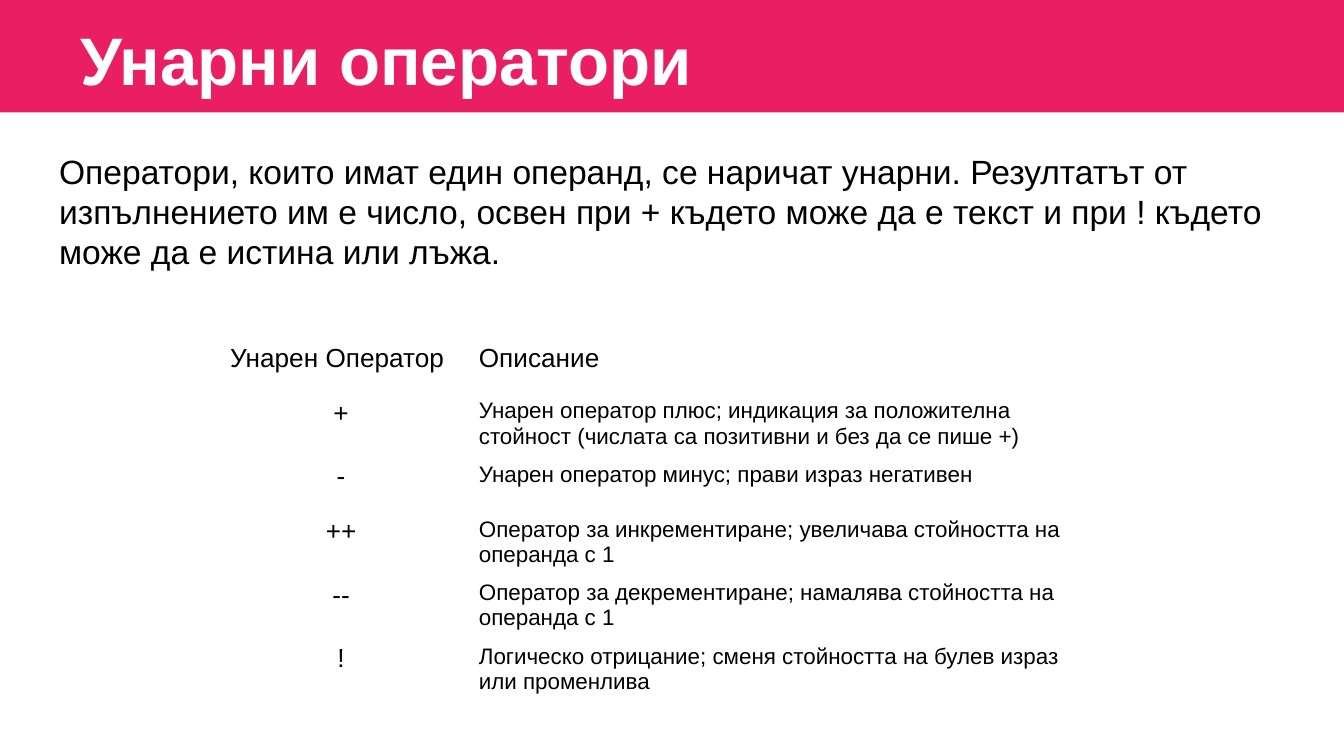
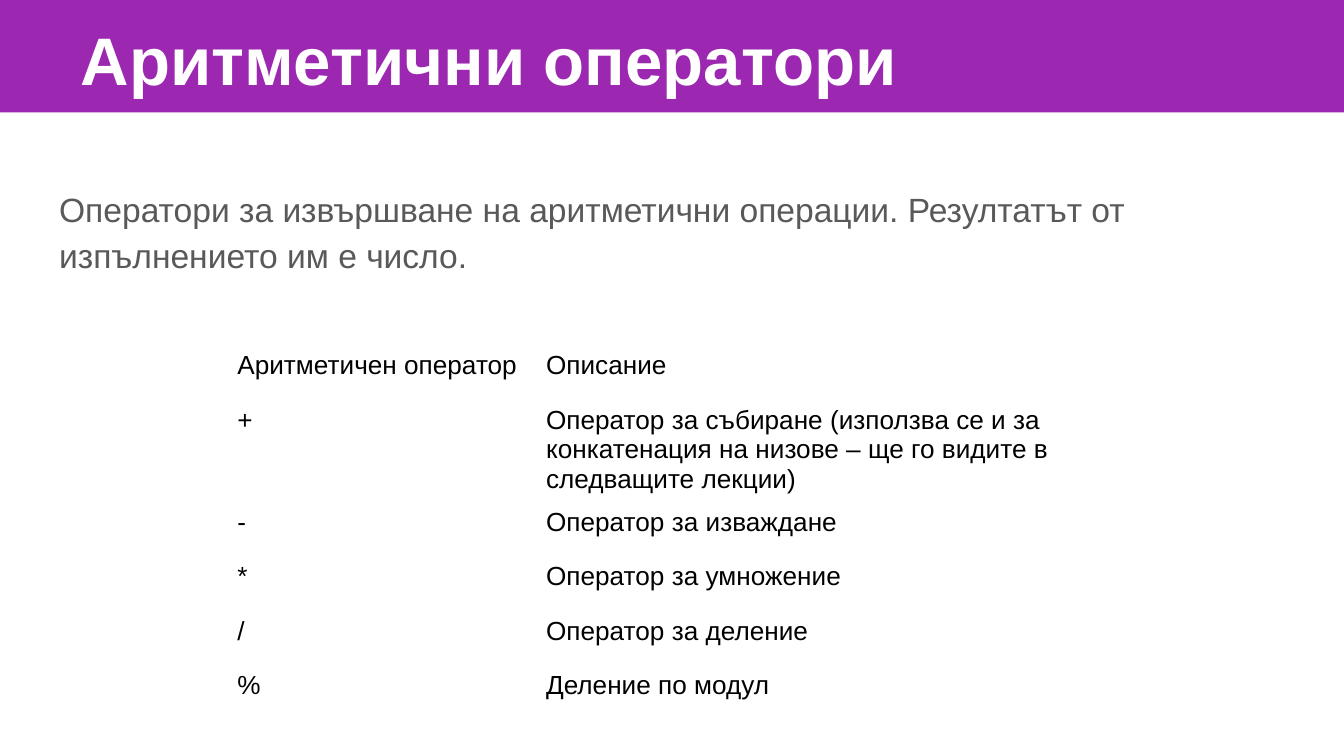
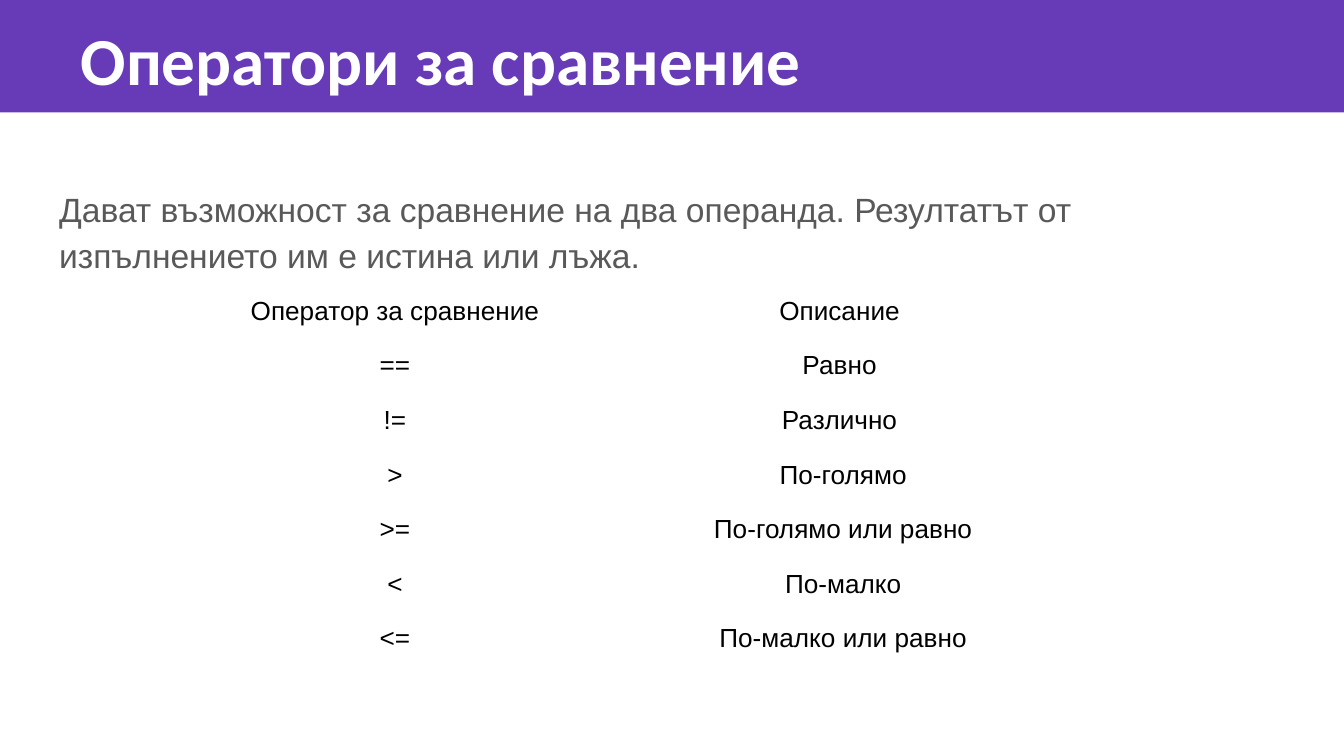
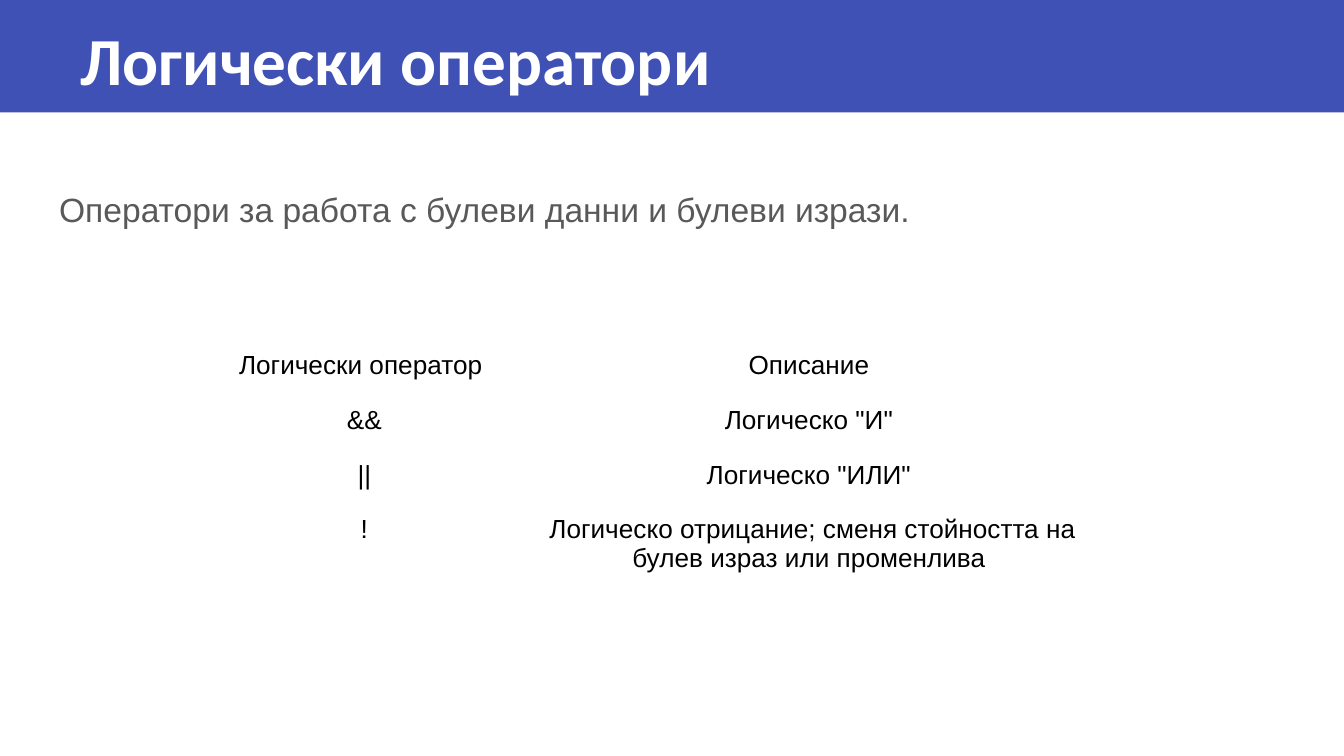
"""Build four slides about operators, each with a band, an introduction and a table."""

from dataclasses import dataclass

from lxml.etree import SubElement
from pptx import Presentation
from pptx.dml.color import RGBColor
from pptx.enum.shapes import MSO_SHAPE as Shape
from pptx.enum.text import MSO_ANCHOR as Anchor, MSO_AUTO_SIZE as AutoSize, PP_ALIGN as Align
from pptx.oxml.ns import qn
from pptx.slide import Slide
from pptx.text.text import TextFrame
from pptx.util import Inches, Pt


@dataclass(frozen=True)
class Theme:
    """Colours, fonts and type sizes of the deck."""

    ink: str = "000000"
    muted: str = "595959"
    on_band: str = "FFFFFF"
    font: str = "Arial"
    title_size: int = 36
    intro_size: int = 18
    cell_size: int = 14
    small_size: int = 12
    plain_table: str = "{2D5ABB26-0587-4C30-8999-92F81FD0307C}"


@dataclass(frozen=True)
class Box:
    """An area in grid columns and rows."""

    left: float
    top: float
    width: float
    height: float


@dataclass(frozen=True)
class Intro:
    """The paragraph below the band and its setting."""

    text: str
    area: Box
    color: str
    spacing: float = 1.15
    inset: float = 1


@dataclass(frozen=True)
class OperatorTable:
    """Operators with their descriptions; the first row is the header."""

    left: float
    top: float
    widths: tuple[float, float]
    rows: tuple[tuple[str, str], ...]
    header_align: Align = Align.CENTER
    operator_align: Align = Align.CENTER
    description_align: Align = Align.CENTER
    description_size: int = 14


@dataclass(frozen=True)
class Topic:
    """The content of one slide."""

    title: str
    band_color: str
    title_width: float
    intro: Intro
    table: OperatorTable
    title_font: str = "Arial"


THEME = Theme()
COLUMNS, ROWS = 100, 56.25
CELL = Inches(0.1)
BAND = Box(0, 0, COLUMNS, 8.36)
TABLE_ROW = 4.06
INTRO_AREA = Box(3.4, 12.6, 93.2, 37.4)

TOPICS = (
    Topic(
        "Унарни оператори", "E91E63", 98.9,
        Intro(
            "Оператори, които имат един операнд, се наричат унарни. Резултатът от "
            "изпълнението им е число, освен при + където може да е текст и при ! "
            "където може да е истина или лъжа.",
            Box(3.4, 10.7, 92.6, 10.1), THEME.ink, spacing=1, inset=0.5,
        ),
        OperatorTable(
            16.13, 25.1, (18.5, 48.2),
            (
                ("Унарен Оператор", "Описание"),
                ("+", "Унарен оператор плюс; индикация за положителна стойност "
                      "(числата са позитивни и без да се пише +)"),
                ("-", "Унарен оператор минус; прави израз негативен"),
                ("++", "Оператор за инкрементиране; увеличава стойността на операнда с 1"),
                ("--", "Оператор за декрементиране; намалява стойността на операнда с 1"),
                ("!", "Логическо отрицание; сменя стойността на булев израз или променлива"),
            ),
            header_align=Align.LEFT, description_align=Align.LEFT,
            description_size=THEME.small_size,
        ),
    ),
    Topic(
        "Аритметични оператори", "9C27B0", 74.4,
        Intro(
            "Оператори за извършване на аритметични операции. Резултатът от "
            "изпълнението им е число.",
            INTRO_AREA, THEME.muted,
        ),
        OperatorTable(
            16.66, 25.63, (22.97, 43.7),
            (
                ("Аритметичен оператор", "Описание"),
                ("+", "Оператор за събиране (използва се и за конкатенация на низове "
                      "– ще го видите в следващите лекции)"),
                ("-", "Оператор за изваждане"),
                ("*", "Оператор за умножение"),
                ("/", "Оператор за деление"),
                ("%", "Деление по модул"),
            ),
            Align.LEFT, Align.LEFT, Align.LEFT,
        ),
    ),
    Topic(
        "Оператори за сравнение", "673AB7", 74.4,
        Intro(
            "Дават възможност за сравнение на два операнда. Резултатът от "
            "изпълнението им е истина или лъжа.",
            INTRO_AREA, THEME.muted,
        ),
        OperatorTable(
            17.34, 21.57, (24.1, 42.6),
            (
                ("Оператор за сравнение", "Описание "),
                ("==", "Равно "),
                ("!=", "Различно "),
                (">", "По-голямо"),
                (">=", "По-голямо или равно"),
                ("<", "По-малко"),
                ("<=", "По-малко или равно"),
            ),
        ),
        title_font="Calibri",
    ),
    Topic(
        "Логически оператори", "3F51B5", 100,
        Intro(
            "Оператори за работа с булеви данни и булеви изрази.",
            Box(3.4, 12.6, 93.2, 42.2), THEME.muted,
        ),
        OperatorTable(
            16.66, 25.63, (20.9, 45.8),
            (
                ("Логически оператор ", "Описание "),
                ("&&", 'Логическо "И" '),
                ("||", 'Логическо "ИЛИ" '),
                ("!", "Логическо отрицание; сменя стойността на булев израз или променлива "),
            ),
        ),
        title_font="Calibri",
    ),
)


def span(cells: float) -> int:
    """Turn a number of grid cells into a length."""
    return round(cells * CELL)


def place(shape, area: Box) -> None:
    """Move a shape to an area of the grid."""
    shape.left, shape.top = span(area.left), span(area.top)
    shape.width, shape.height = span(area.width), span(area.height)


def write(frame: TextFrame, text: str, *, size: int, color: str = THEME.ink,
          font: str = THEME.font, bold: bool = False, align: Align = Align.LEFT,
          spacing: float = 1, indent: float = 0) -> None:
    """Put one formatted paragraph without a bullet into a text frame."""
    frame.text = text
    paragraph = frame.paragraphs[0]
    properties = paragraph._p.get_or_add_pPr()
    properties.set("marL", str(span(indent)))
    properties.set("indent", "0")
    SubElement(properties, qn("a:buNone"))
    paragraph.alignment = align
    paragraph.line_spacing = spacing
    paragraph.space_before = Pt(0)
    style = paragraph.runs[0].font
    style.name, style.size, style.bold = font, Pt(size), bold
    style.color.rgb = RGBColor.from_string(color)


def set_up_frame(frame: TextFrame, inset: float) -> None:
    """Give a placeholder's text frame its wrapping, anchor and margins."""
    frame.word_wrap = True
    frame.auto_size = AutoSize.NONE
    frame.vertical_anchor = Anchor.TOP
    frame.margin_left = frame.margin_right = span(1)
    frame.margin_top = frame.margin_bottom = span(inset)


def add_band(slide: Slide, color: str) -> None:
    """Draw the title band behind everything else."""
    band = slide.shapes.add_shape(Shape.RECTANGLE, 0, 0, span(BAND.width), span(BAND.height))
    band.shadow.inherit = False
    band.fill.solid()
    band.fill.fore_color.rgb = RGBColor.from_string(color)
    band.line.fill.background()
    slide.shapes.element.insert(2, band.element)


def add_title(slide: Slide, topic: Topic) -> None:
    """Set the slide title on the band."""
    title = slide.shapes.title
    place(title, Box(0, 0.34, topic.title_width, 7.7))
    set_up_frame(title.text_frame, 1)
    write(title.text_frame, topic.title, size=THEME.title_size, color=THEME.on_band,
          font=topic.title_font, bold=True, indent=5)


def add_intro(slide: Slide, intro: Intro) -> None:
    """Set the introduction in the body placeholder."""
    body = slide.placeholders[1]
    place(body, intro.area)
    set_up_frame(body.text_frame, intro.inset)
    write(body.text_frame, intro.text, size=THEME.intro_size, color=intro.color,
          spacing=intro.spacing)


def add_operator_table(slide: Slide, content: OperatorTable) -> None:
    """Draw a plain table of operators and descriptions."""
    count = len(content.rows)
    table = slide.shapes.add_table(
        count, len(content.widths), span(content.left), span(content.top),
        span(sum(content.widths)), span(TABLE_ROW * count),
    ).table
    table.first_row = table.horz_banding = False
    table._tbl.tblPr.find(qn("a:tableStyleId")).text = THEME.plain_table
    for column, width in zip(table.columns, content.widths):
        column.width = span(width)
    row_aligns = (content.operator_align, content.description_align)
    row_sizes = (THEME.cell_size, content.description_size)
    for row_index, texts in enumerate(content.rows):
        header = row_index == 0
        for column_index, text in enumerate(texts):
            cell = table.cell(row_index, column_index)
            cell.fill.background()
            write(cell.text_frame, text,
                  size=THEME.cell_size if header else row_sizes[column_index],
                  align=content.header_align if header else row_aligns[column_index])


def main() -> None:
    """Build and save the deck."""
    deck = Presentation()
    deck.slide_width, deck.slide_height = span(COLUMNS), span(ROWS)
    for topic in TOPICS:
        slide = deck.slides.add_slide(deck.slide_layouts[1])
        add_band(slide, topic.band_color)
        add_title(slide, topic)
        add_intro(slide, topic.intro)
        add_operator_table(slide, topic.table)
    deck.save("out.pptx")


if __name__ == "__main__":
    main()
